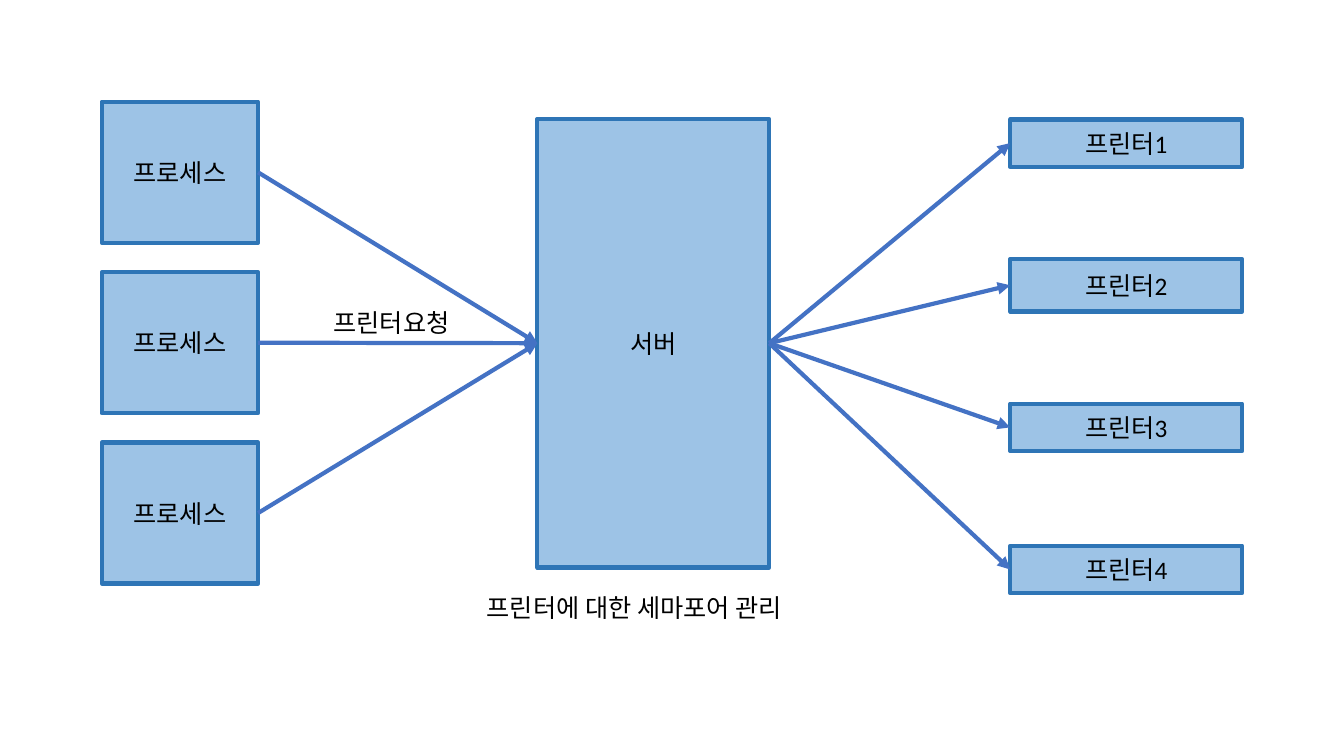
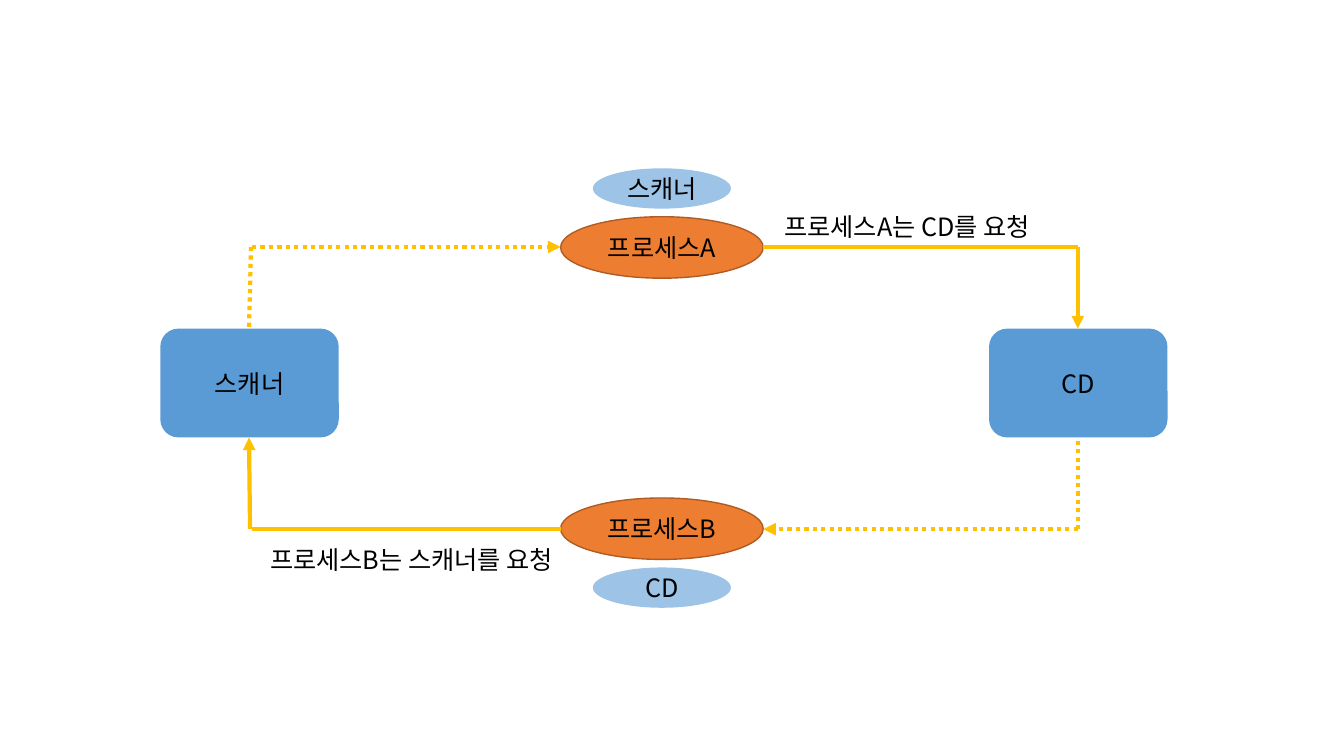
import pptx
import pptx.util
import pptx.dml.color
import pptx.enum.dml
import pptx.enum.shapes
import pptx.enum.text
import pptx.oxml.ns
from lxml import etree

Inches, Pt = pptx.util.Inches, pptx.util.Pt
SHAPE = pptx.enum.shapes.MSO_SHAPE
ALIGN = pptx.enum.text.PP_ALIGN
qn = pptx.oxml.ns.qn

# Shared look
KOREAN, LATIN = "Noto Sans CJK KR", "Calibri"
BLACK, PALE_BLUE, MID_BLUE = "000000", "9DC3E6", "5B9BD5"
EDGE_BLUE, ARROW_BLUE = "2E75B6", "4472C4"
ORANGE, EDGE_ORANGE, YELLOW = "ED7D31", "AF5C24", "FFC000"
LEFT_SITE, RIGHT_SITE = 1, 3  # connection sites of a rectangle


def rgb(color):
    return pptx.dml.color.RGBColor.from_string(color)


def write(tf, text, font, align):
    p = tf.paragraphs[0]
    p.alignment = align
    r = p.add_run()
    r.text = text
    for name, value in {"size": Pt(18), "name": font}.items():
        setattr(r.font, name, value)
    r.font.color.rgb = rgb(BLACK)
    etree.SubElement(r.font._element, qn("a:ea"), typeface=KOREAN)


def add_box(s, kind, at, text, fill, edge=None, width=3, font=KOREAN):
    sp = s.shapes.add_shape(kind, *map(Inches, at))
    sp.shadow.inherit = False
    sp.fill.solid()
    sp.fill.fore_color.rgb = rgb(fill)
    if edge:
        sp.line.color.rgb = rgb(edge)
        sp.line.width = Pt(width)
    else:
        sp.line.fill.background()
    tf = sp.text_frame
    tf.vertical_anchor = pptx.enum.text.MSO_ANCHOR.MIDDLE
    write(tf, text, font, ALIGN.CENTER)
    return sp


def add_label(s, at, text):
    tf = s.shapes.add_textbox(*map(Inches, at)).text_frame
    formats = {"word_wrap": False,
               "auto_size": pptx.enum.text.MSO_AUTO_SIZE.SHAPE_TO_FIT_TEXT}
    for name, value in formats.items():
        setattr(tf, name, value)
    write(tf, text, KOREAN, ALIGN.LEFT)


def add_line(s, start, end, color, arrow=False, dotted=False):
    line = s.shapes.add_connector(pptx.enum.shapes.MSO_CONNECTOR.STRAIGHT,
                                  *map(Inches, start + end))
    line.line.color.rgb = rgb(color)
    line.line.width = Pt(3)
    if dotted:
        line.line.dash_style = pptx.enum.dml.MSO_LINE.ROUND_DOT
    if arrow:
        etree.SubElement(line.line._get_or_add_ln(), qn("a:tailEnd"), type="triangle")
    etree.SubElement(line._element.spPr, qn("a:effectLst"))
    return line


def link(s, source, target):
    """Arrow from the right side of one box to the left side of another."""
    line = add_line(s, (0, 0), (0, 0), ARROW_BLUE, arrow=True)
    line.begin_connect(source, RIGHT_SITE)
    line.end_connect(target, LEFT_SITE)


def printer_slide(s):
    def node(at, text, font=KOREAN):
        return add_box(s, SHAPE.RECTANGLE, at, text, PALE_BLUE, EDGE_BLUE, font=font)

    # Server and its printers
    server = node((5.33, 1.18, 2.3, 4.45), "서버")
    for i, height in enumerate((0.47, 0.52, 0.47, 0.47)):
        middle = 1.42 + 1.41 * i
        printer = node((10.02, middle - height / 2, 2.3, height), f"프린터{i + 1}", LATIN)
        link(s, server, printer)

    # Processes that ask for a printer
    for i in range(3):
        link(s, node((1.01, 1.01 + 1.69 * i, 1.55, 1.4), "프로세스"), server)

    add_label(s, (3.21, 3, 1.46, 0.4), "프린터요청")
    add_label(s, (4.73, 5.83, 3.5, 0.4), "프린터에 대한 세마포어 관리")


def deadlock_slide(s):
    # Resources at the sides
    for left, name in ((1.59, "스캐너"), (9.81, "CD")):
        add_box(s, SHAPE.ROUNDED_RECTANGLE, (left, 3.26, 1.77, 1.08), name, MID_BLUE)

    # Processes, each with the resource it holds
    for name, top, held, held_top in (("프로세스A", 2.15, "스캐너", 1.67),
                                      ("프로세스B", 4.94, "CD", 5.63)):
        add_box(s, SHAPE.OVAL, (5.56, top, 2.01, 0.61), name, ORANGE, EDGE_ORANGE, 1)
        add_box(s, SHAPE.OVAL, (5.88, held_top, 1.37, 0.4), held, PALE_BLUE)

    # Requests are solid, holdings dotted; each bends at a corner
    upper, lower = 2.45, 5.25
    for start, end, arrow, dotted in (
            ((7.57, upper), (10.69, upper), False, False),
            ((10.69, upper), (10.69, 3.26), True, False),
            ((10.69, lower), (10.69, 4.34), False, True),
            ((10.69, lower), (7.57, lower), True, True),
            ((2.5, lower), (5.56, lower), False, False),
            ((2.48, lower), (2.47, 4.34), True, False),
            ((2.49, upper), (2.47, 3.26), False, True),
            ((2.5, upper), (5.56, upper), True, True)):
        add_line(s, start, end, YELLOW, arrow, dotted)

    add_label(s, (7.68, 2.05, 2.91, 0.4), "프로세스A는 CD를 요청")
    add_label(s, (2.58, 5.35, 3.3, 0.4), "프로세스B는 스캐너를 요청")


def main():
    prs = pptx.Presentation()
    prs.slide_width, prs.slide_height = Inches(13.33), Inches(7.5)
    blank = prs.slide_layouts[6]
    for build in (printer_slide, deadlock_slide):
        build(prs.slides.add_slide(blank))
    prs.save("out.pptx")


if __name__ == "__main__":
    main()
